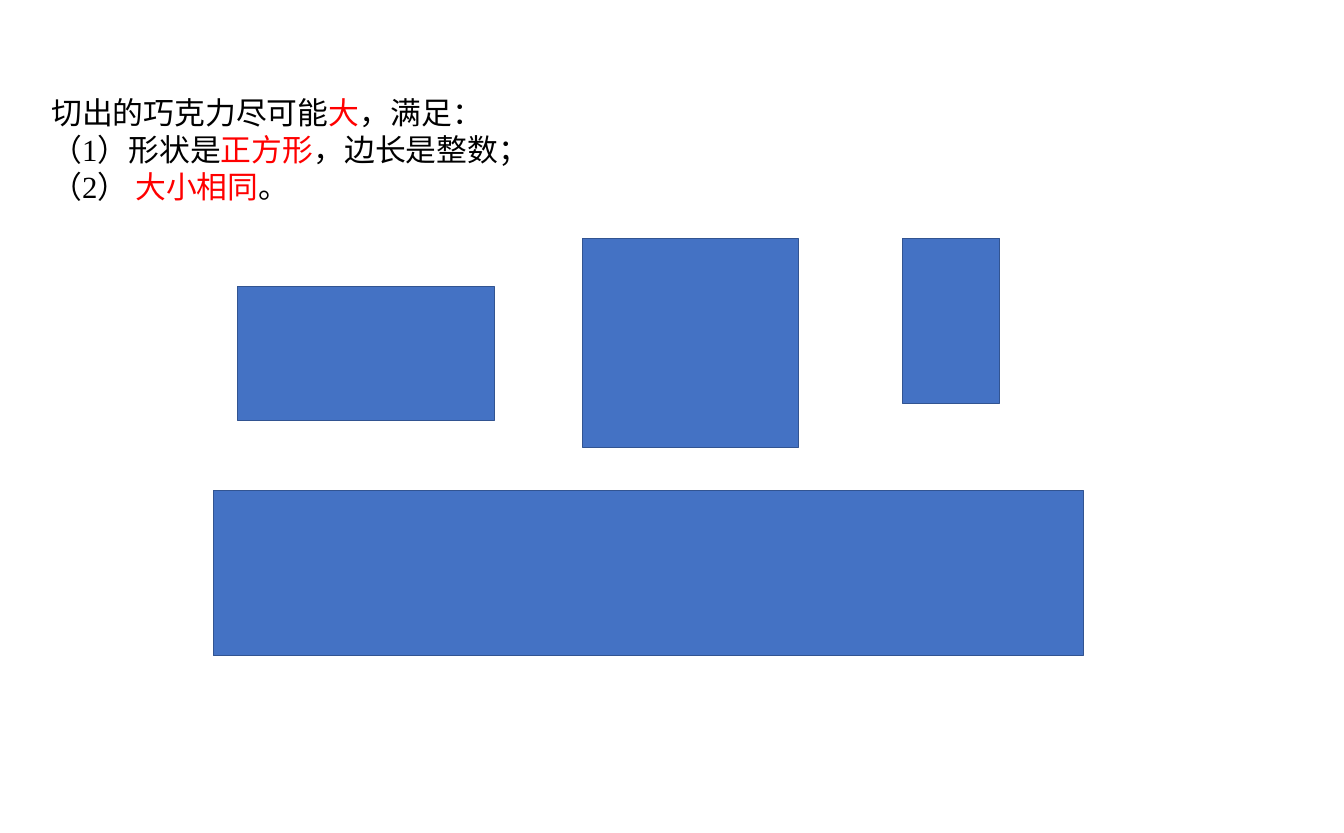
from pptx import Presentation
from pptx import util as u
from pptx.dml.color import RGBColor
from pptx.enum import shapes, text

COLORS = {"chocolate": "4472C4", "edge": "325491", "plain": "000000", "key": "FF0000"}

deck = Presentation()
deck.slide_width = u.Cm(67.72)
deck.slide_height = u.Cm(41.99)
page = deck.slides.add_slide(deck.slide_layouts[6])

chocolate_bars = [
    (11.96, 14.43, 12.93, 6.76),
    (29.36, 12.01, 10.85, 10.52),
    (10.74, 24.74, 43.84, 8.31),
    (45.47, 12.01, 4.9, 8.31),
]
for bounds in chocolate_bars:
    bar = page.shapes.add_shape(
        shapes.MSO_SHAPE.RECTANGLE, *[u.Cm(length) for length in bounds])
    bar.shadow.inherit = False
    bar.fill.solid()
    bar.fill.fore_color.rgb = RGBColor.from_string(COLORS["chocolate"])
    bar.line.color.rgb = RGBColor.from_string(COLORS["edge"])
    bar.line.width = u.Pt(1)

conditions = [
    ("切出的巧克力尽可能", "大", "，满足："),
    ("（1）形状是", "正方形", "，边长是整数；"),
    ("（2） ", "大小相同", "。"),
]
box = page.shapes.add_textbox(u.Cm(2.34), u.Cm(4.6), u.Cm(27.79), u.Cm(5.89))
frame = box.text_frame
frame.word_wrap = True
frame.auto_size = text.MSO_AUTO_SIZE.SHAPE_TO_FIT_TEXT
for index, condition in enumerate(conditions):
    para = frame.add_paragraph() if index else frame.paragraphs[0]
    para.font.name = "Times New Roman"
    para.font.size = u.Pt(44)
    for words, tone in zip(condition, ("plain", "key", "plain")):
        span = para.add_run()
        span.text = words
        span.font.color.rgb = RGBColor.from_string(COLORS[tone])

deck.save("out.pptx")
